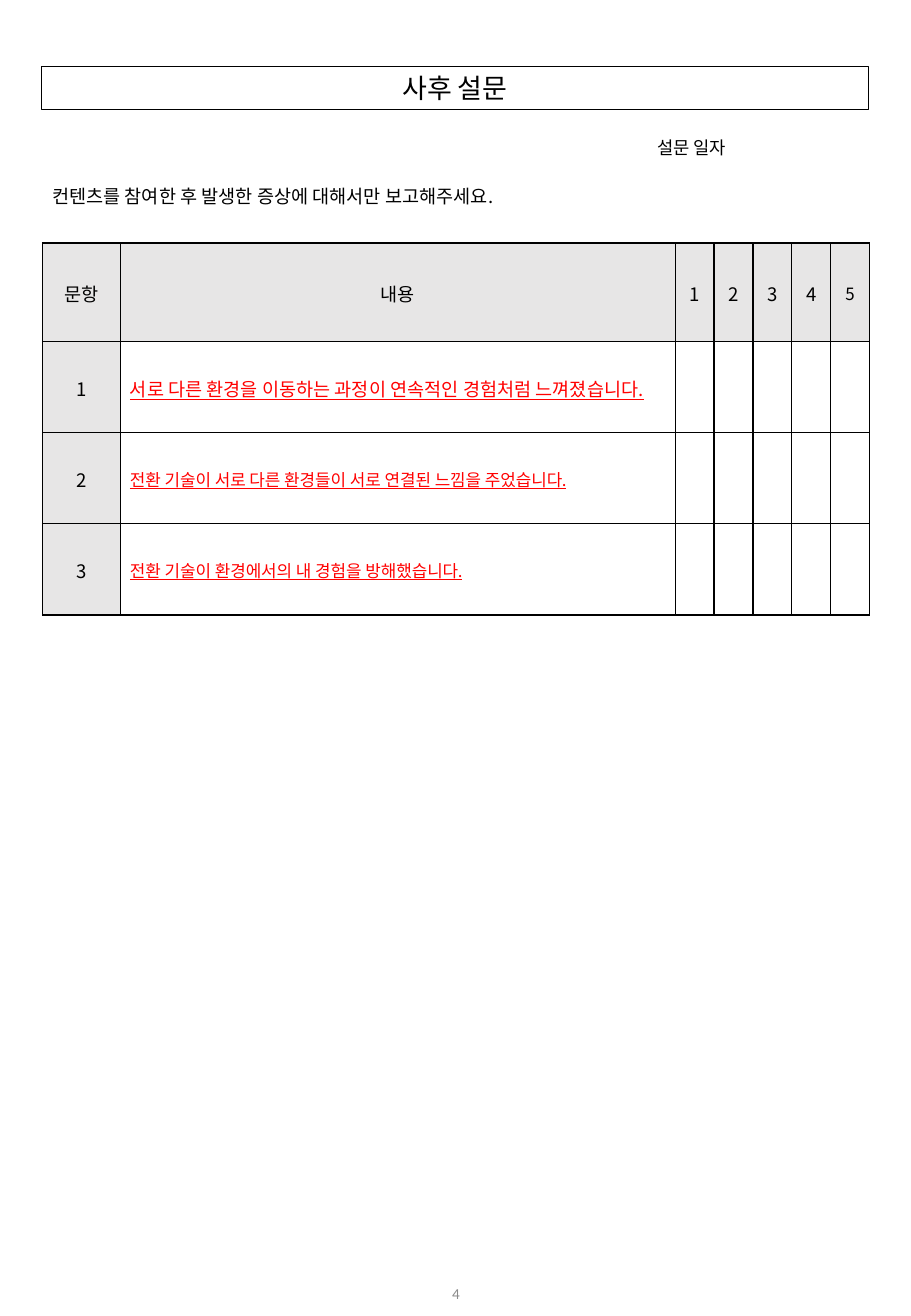
from lxml.etree import SubElement
from pptx import Presentation
from pptx.dml.color import RGBColor
from pptx.enum.text import MSO_ANCHOR as Anchor, MSO_AUTO_SIZE as AutoSize, PP_ALIGN as Align
from pptx.oxml.ns import qn
from pptx.util import Inches, Pt

BLACK = RGBColor(0x00, 0x00, 0x00)
RED = RGBColor(0xFF, 0x00, 0x00)
HEADER_GRAY = RGBColor(0xE7, 0xE6, 0xE6)
PAGE_GRAY = RGBColor(0x8C, 0x8C, 0x8C)
KOREAN_FONT = "Noto Sans CJK KR"
PAGE_FONT = "Calibri"

WIDTH, HEIGHT = Inches(7.5), Inches(10.83)
GRID_COLUMNS, GRID_ROWS = 750, 1083

TITLE_BOX = (34, 55, 681, 35)
DATE_BOX = (533, 108, 75, 26)
GUIDE_BOX = (35, 148, 403, 27)
TABLE_BOX = (35, 200, 681, 306)
PAGE_BOX = (291, 1045, 169, 39)

NUMBER_COLUMN, SCORE_COLUMN, HEADER_ROW = 64, 32, 81
HEADINGS = ["문항", "내용", "1", "2", "3", "4", "5"]
SCORES = len(HEADINGS) - 2
QUESTIONS = [
    ("서로 다른 환경을 이동하는 과정이 연속적인 경험처럼 느껴졌습니다.", 11),
    ("전환 기술이 서로 다른 환경들이 서로 연결된 느낌을 주었습니다.", 10),
    ("전환 기술이 환경에서의 내 경험을 방해했습니다.", 10),
]


def across(columns):
    """Return the length of a number of grid columns."""
    return round(WIDTH * columns / GRID_COLUMNS)


def down(rows):
    """Return the length of a number of grid rows."""
    return round(HEIGHT * rows / GRID_ROWS)


def place(box):
    """Turn a grid box into left, top, width and height."""
    left, top, width, height = box
    return across(left), down(top), across(width), down(height)


def write(frame, text, size, align=Align.LEFT, color=BLACK, name=KOREAN_FONT):
    """Write one formatted paragraph and return it."""
    para = frame.paragraphs[0]
    para.text = text
    para.alignment = align
    for span in para.runs:
        span.font.size = Pt(size)
        span.font.color.rgb = color
        span.font.name = name
        SubElement(span.font._element, qn("a:ea"), typeface=name)
    return para


def set_frame(frame, wrap=True):
    """Set the insets, anchor and wrapping of a text frame."""
    frame.auto_size = AutoSize.NONE
    frame.word_wrap = wrap
    frame.vertical_anchor = Anchor.MIDDLE
    frame.margin_left = frame.margin_right = Inches(0.08)
    frame.margin_top = frame.margin_bottom = Inches(0.04)


def add_title(page, box, text):
    """Place the outlined title."""
    title = page.shapes.title
    title.left, title.top, title.width, title.height = place(box)
    title.line.color.rgb = BLACK
    title.line.width = Pt(0.75)
    set_frame(title.text_frame)
    write(title.text_frame, text, 16, Align.CENTER)


def add_label(page, box, text, size, wrap=False, **style):
    """Place a line of text in a box."""
    frame = page.shapes.add_textbox(*place(box)).text_frame
    set_frame(frame, wrap)
    write(frame, text, size, **style)


def outline(cell):
    """Draw black borders around a cell."""
    properties = cell._tc.get_or_add_tcPr()
    for side in ("a:lnL", "a:lnR", "a:lnT", "a:lnB"):
        line = SubElement(properties, qn(side), w=str(Pt(1)))
        fill = SubElement(line, qn("a:solidFill"))
        SubElement(fill, qn("a:srgbClr"), val=str(BLACK))


def fill_cell(cell, text, size, is_question, is_shaded):
    """Format one table cell and write its text."""
    outline(cell)
    if is_shaded:
        cell.fill.solid()
        cell.fill.fore_color.rgb = HEADER_GRAY
    else:
        cell.fill.background()
    cell.vertical_anchor = Anchor.MIDDLE
    cell.margin_left = cell.margin_right = Inches(0.08)
    cell.margin_top = cell.margin_bottom = 0
    align, color = (Align.JUSTIFY, RED) if is_question else (Align.CENTER, BLACK)
    para = write(cell.text_frame, text, size, align, color)
    para.line_spacing = 1.07
    para.space_after = Pt(8)
    for span in para.runs:
        span.font.underline = is_question


def add_survey(page, box):
    """Build the table of questions and score columns."""
    rows = [[(heading, 11) for heading in HEADINGS]]
    rows[0][-1] = (HEADINGS[-1], 10)
    for number, question in enumerate(QUESTIONS, 1):
        rows.append([(str(number), 11), question] + [("", 11)] * SCORES)

    table = page.shapes.add_table(len(rows), len(HEADINGS), *place(box)).table
    table.first_row = table.horz_banding = False
    question_column = box[2] - NUMBER_COLUMN - SCORES * SCORE_COLUMN
    widths = [NUMBER_COLUMN, question_column] + [SCORE_COLUMN] * SCORES
    for column, width in zip(table.columns, widths):
        column.width = across(width)
    question_row = (box[3] - HEADER_ROW) / len(QUESTIONS)
    for i, row in enumerate(rows):
        table.rows[i].height = down(question_row if i else HEADER_ROW)
        for j, (text, size) in enumerate(row):
            fill_cell(table.cell(i, j), text, size, i > 0 and j == 1, i == 0 or j == 0)


def main():
    """Build the survey page and save it."""
    deck = Presentation()
    deck.slide_width, deck.slide_height = WIDTH, HEIGHT
    page = deck.slides.add_slide(deck.slide_layouts[5])
    add_title(page, TITLE_BOX, "사후 설문")
    add_label(page, DATE_BOX, "설문 일자", 10.5)
    add_label(page, GUIDE_BOX, "컨텐츠를 참여한 후 발생한 증상에 대해서만 보고해주세요.", 11)
    add_survey(page, TABLE_BOX)
    add_label(page, PAGE_BOX, "4", 9, wrap=True, align=Align.CENTER,
              color=PAGE_GRAY, name=PAGE_FONT)
    deck.save("out.pptx")


if __name__ == "__main__":
    main()
